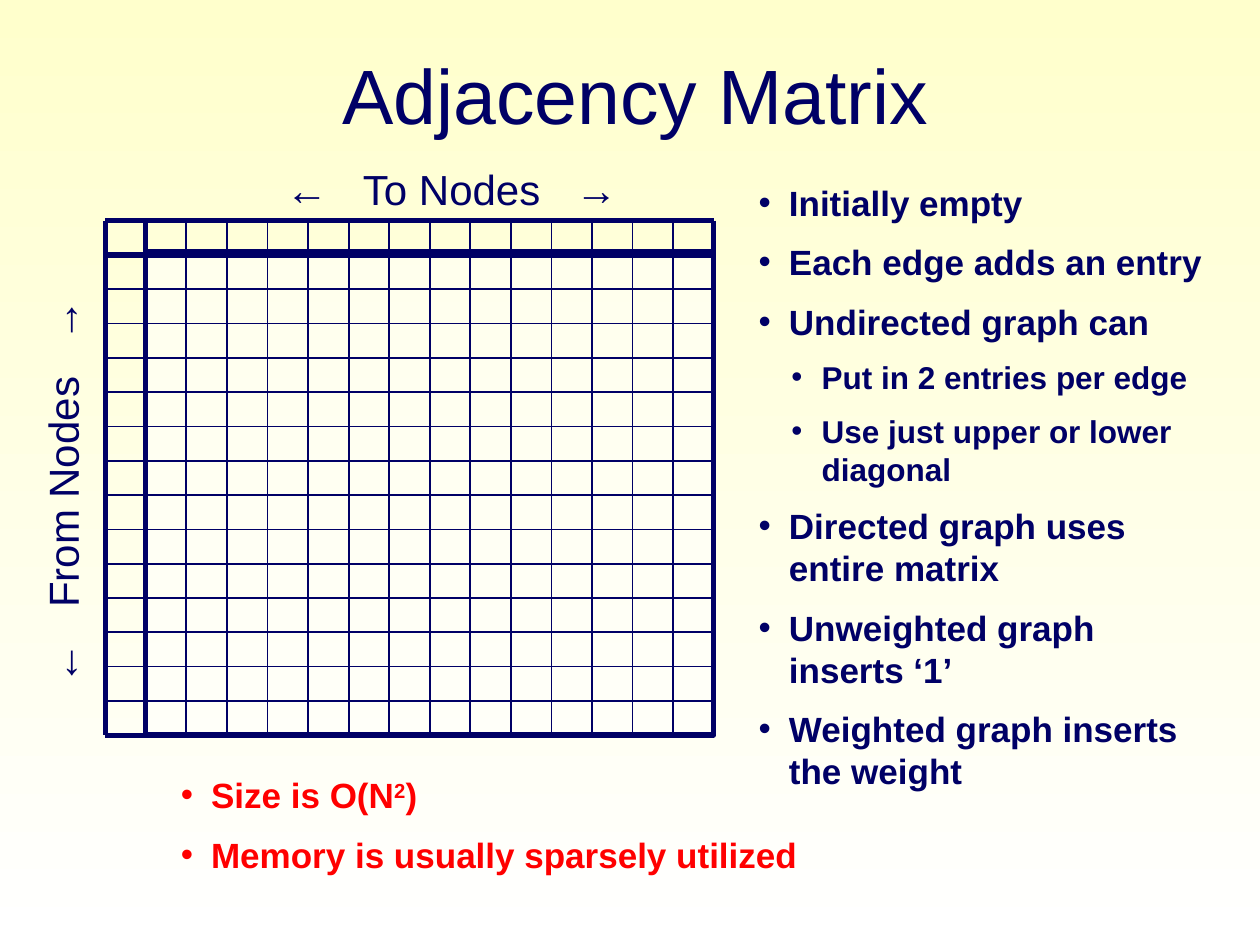
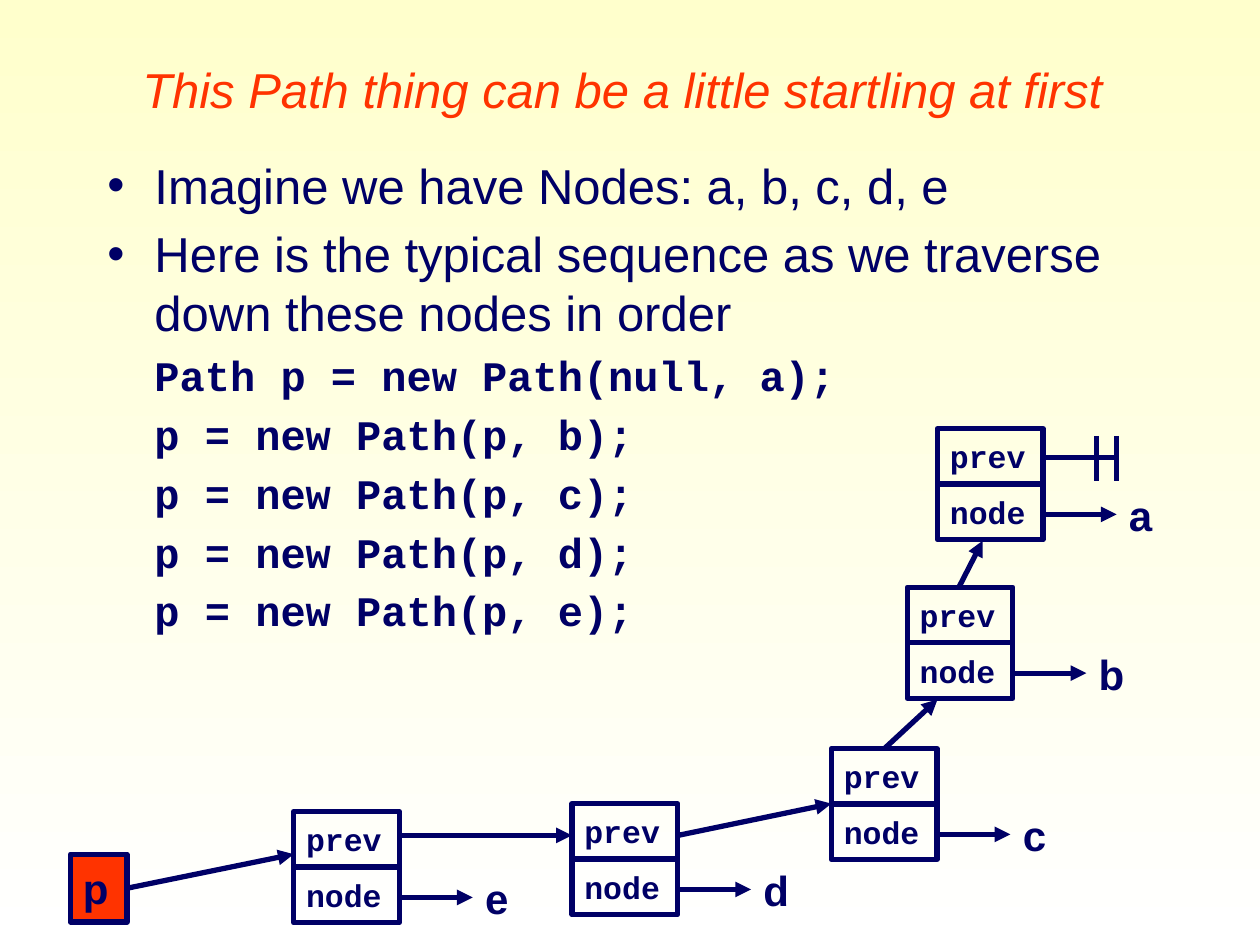
"""Build two slides on adjacency matrices and linked Path objects."""
from dataclasses import dataclass

from lxml import etree
from pptx import Presentation
from pptx import util as u
from pptx.dml import color
from pptx.enum import shapes, text
from pptx.oxml import ns

NAVY, RED, ORANGE = "000066", "FF0000", "FF3300"
CREAM, WHITE = "FFFFCC", "FFFFFF"
SANS, MONO = "Arial", "Courier New"
THIN, THICK = 1, 3
LINE_HEIGHT = 1.2
CELL_WIDTH, CELL_HEIGHT = 2.13, 1.12
POINTER_END, POINTER_DROP = 3.61, 1.73


@dataclass(frozen=True)
class Box:
    left: float
    top: float
    width: float
    height: float

    def lengths(self):
        return [u.Cm(v) for v in (self.left, self.top, self.width, self.height)]


@dataclass(frozen=True)
class Style:
    size: int
    hue: str = NAVY
    face: str = SANS
    bold: bool = False
    italic: bool = False


@dataclass(frozen=True)
class Item:
    wording: str
    style: Style
    bullet: bool = True
    level: int = 0
    raised: str = ""
    ending: str = ""


@dataclass(frozen=True)
class Segment:
    x1: float
    y1: float
    x2: float
    y2: float


@dataclass(frozen=True)
class PathObject:
    node: str
    left: float
    top: float
    prev_link: Segment | None = None


POINT = Style(20, bold=True)
SUBPOINT = Style(18, bold=True)
WARNING = Style(20, RED, bold=True)
PROSE = Style(28)
CODE = Style(24, face=MONO, bold=True)
FIELD = Style(18, face=MONO, bold=True)
NODE = Style(24, bold=True)
AXIS = Style(24)

MATRIX_NOTES = [
    Item("Initially empty", POINT),
    Item("Each edge adds an entry", POINT),
    Item("Undirected graph can", POINT),
    Item("Put in 2 entries per edge", SUBPOINT, level=1),
    Item("Use just upper or lower diagonal", SUBPOINT, level=1),
    Item("Directed graph uses entire matrix", POINT),
    Item("Unweighted graph inserts ‘1’", POINT),
    Item("Weighted graph inserts the weight", POINT),
]
COST_NOTES = [
    Item("Size is O(N", WARNING, raised="2", ending=")"),
    Item("Memory is usually sparsely utilized", WARNING),
]
TRAVERSAL = [
    Item("Imagine we have Nodes: a, b, c, d, e", PROSE),
    Item("Here is the typical sequence as we traverse down these nodes in order", PROSE),
    Item("Path p = new Path(null, a);", CODE, bullet=False),
    *(Item(f"p = new Path(p, {node});", CODE, bullet=False) for node in "bcde"),
]
PATH_CHAIN = [
    PathObject("a", 18.9, 8.64),
    PathObject("b", 18.29, 11.84, Segment(19.33, 11.84, 19.81, 10.9)),
    PathObject("c", 16.76, 15.09, Segment(17.83, 15.09, 18.9, 14.1)),
    PathObject("d", 11.53, 16.2, Segment(13.67, 16.84, 16.76, 16.2)),
    PathObject("e", 5.92, 16.36, Segment(8.05, 16.84, 11.53, 16.84)),
]
NULL_MARK = [
    Segment(21.03, 9.22, 22.5, 9.22),
    *(Segment(x, 8.79, x, 9.7) for x in (22.1, 22.5)),
]


def rgb(code: str) -> color.RGBColor:
    """Turn a hex string into a colour."""
    return color.RGBColor.from_string(code)


def format_run(run, style: Style) -> None:
    """Give one run its font."""
    run.font.size = u.Pt(style.size)
    run.font.name = style.face
    run.font.bold = style.bold
    run.font.italic = style.italic
    run.font.color.rgb = rgb(style.hue)


def place(shape, box: Box) -> None:
    """Move and size a shape."""
    shape.left, shape.top, shape.width, shape.height = box.lengths()


def write(shape, wording: str, style: Style, align=text.PP_ALIGN.LEFT, wrap=False) -> None:
    """Write one line of text, centred vertically."""
    frame = shape.text_frame
    frame.text = wording
    frame.word_wrap = wrap
    frame.auto_size = text.MSO_AUTO_SIZE.NONE
    frame.vertical_anchor = text.MSO_ANCHOR.MIDDLE
    frame.paragraphs[0].alignment = align
    format_run(frame.paragraphs[0].runs[0], style)


def set_title(slide, wording: str, box: Box, style: Style) -> None:
    """Fill the title placeholder."""
    place(slide.shapes.title, box)
    write(slide.shapes.title, wording, style, text.PP_ALIGN.CENTER)


def write_list(body, box: Box, items: list[Item], gap: float, hang: float, anchor) -> None:
    """Fill a body placeholder; gap is a share of the text size."""
    place(body, box)
    frame = body.text_frame
    frame.text = "\n".join(item.wording for item in items)
    frame.word_wrap = True
    frame.auto_size = text.MSO_AUTO_SIZE.NONE
    frame.vertical_anchor = anchor
    for paragraph, item in zip(frame.paragraphs, items):
        paragraph.level = item.level
        paragraph.alignment = text.PP_ALIGN.LEFT
        paragraph.line_spacing = u.Pt(LINE_HEIGHT * item.style.size)
        paragraph.space_before = u.Pt(gap * item.style.size)
        for extra in filter(None, (item.raised, item.ending)):
            paragraph.add_run().text = extra
        for run in paragraph.runs:
            format_run(run, item.style)
        if item.raised:
            paragraph.runs[1].font._element.set("baseline", "30000")
        props = paragraph._p.get_or_add_pPr()
        props.set("marL", str(u.Cm(hang + 0.66 * item.level)))
        props.set("indent", str(-u.Cm(hang) if item.bullet else 0))
        if item.bullet:
            etree.SubElement(props, ns.qn("a:buChar")).set("char", "•")
        else:
            etree.SubElement(props, ns.qn("a:buNone"))


def draw_line(parent, segment: Segment, weight: int = THICK, arrow: bool = False) -> None:
    """Draw a straight line, with an arrowhead at its end if asked."""
    ends = [u.Cm(v) for v in (segment.x1, segment.y1, segment.x2, segment.y2)]
    line = parent.add_connector(shapes.MSO_CONNECTOR.STRAIGHT, *ends)
    line.line.color.rgb = rgb(NAVY)
    line.line.width = u.Pt(weight)
    if arrow:
        etree.SubElement(line.line._get_or_add_ln(), ns.qn("a:tailEnd")).set("type", "triangle")
    etree.SubElement(line._element.spPr, ns.qn("a:effectLst"))


def draw_rect(parent, box: Box, fill: str | None = None, alpha: int = 100):
    """Draw a thickly outlined rectangle."""
    rect = parent.add_shape(shapes.MSO_SHAPE.RECTANGLE, *box.lengths())
    rect.shadow.inherit = False
    if fill:
        rect.fill.solid()
        rect.fill.fore_color.rgb = rgb(fill)
        if alpha < 100:
            tone = rect._element.spPr.find(".//" + ns.qn("a:srgbClr"))
            etree.SubElement(tone, ns.qn("a:alpha")).set("val", str(alpha * 1000))
    else:
        rect.fill.background()
    rect.line.color.rgb = rgb(NAVY)
    rect.line.width = u.Pt(THICK)
    return rect


def draw_matrix(parent, area: Box, count: int) -> None:
    """Draw a square grid whose first row and column are headers."""
    matrix = parent.add_group_shape().shapes
    across, down = area.width / count, area.height / count
    right, bottom = area.left + area.width, area.top + area.height
    draw_rect(matrix, Box(area.left + across, 5.08, area.width - across, bottom - 5.08), WHITE, 50)
    for i in range(count + 1):
        weight = THICK if i in (0, 1, count) else THIN
        x, y = area.left + i * across, area.top + i * down
        draw_line(matrix, Segment(area.left, y, right, y), weight)
        draw_line(matrix, Segment(x, area.top, x, bottom), weight)


def draw_axis(parent, wording: str, box: Box, rotation: int = 0) -> None:
    """Label a matrix axis between two widely set arrows."""
    label = parent.add_textbox(*box.lengths())
    label.rotation = rotation
    write(label, "←", AXIS, text.PP_ALIGN.CENTER, wrap=True)
    label.text_frame.vertical_anchor = text.MSO_ANCHOR.TOP
    paragraph = label.text_frame.paragraphs[0]
    for part in (" ", wording, " ", "→"):
        run = paragraph.add_run()
        run.text = part
        format_run(run, AXIS)
        if part == " ":
            run.font._element.set("spc", "1330")


def draw_path_object(parent, item: PathObject) -> None:
    """Draw a Path object with its fields, node and link."""
    cells = parent.add_group_shape().shapes
    for row, field in enumerate(("prev", "node")):
        top = item.top + row * CELL_HEIGHT
        write(draw_rect(cells, Box(item.left, top, CELL_WIDTH, CELL_HEIGHT)), field, FIELD)
    end, y = item.left + POINTER_END, item.top + POINTER_DROP
    draw_line(parent, Segment(item.left + CELL_WIDTH, y, end, y), arrow=True)
    name = parent.add_textbox(*Box(end, item.top + 1.1, 1, 1.27).lengths())
    write(name, item.node, NODE)
    if item.prev_link:
        draw_line(parent, item.prev_link, arrow=True)


def build_matrix_slide(deck) -> None:
    """Build the adjacency matrix slide."""
    slide = deck.slides.add_slide(deck.slide_layouts[3])
    set_title(slide, "Adjacency Matrix", Box(2.74, 0.84, 20.14, 2.11), Style(44))
    draw_matrix(slide.shapes, Box(2.12, 4.45, 12.27, 10.37), 15)
    draw_axis(slide.shapes, "To Nodes", Box(2.97, 3.18, 12.27, 1.47))
    draw_axis(slide.shapes, "From Nodes", Box(-3.51, 9.19, 9.73, 1.47), 270)
    middle = text.MSO_ANCHOR.MIDDLE
    notes, costs = slide.placeholders[1], slide.placeholders[2]
    write_list(notes, Box(15.04, 3.28, 9.73, 13.06), MATRIX_NOTES, 0.5, 0.61, middle)
    write_list(costs, Box(3.39, 15.44, 14.81, 2.36), COST_NOTES, 0.5, 0.61, middle)


def build_path_slide(deck) -> None:
    """Build the slide that follows a chain of Path objects."""
    slide = deck.slides.add_slide(deck.slide_layouts[1])
    set_title(slide, "This Path thing can be a little startling at first",
              Box(2.59, 1.07, 19.91, 1.45), Style(28, ORANGE, italic=True))
    write_list(slide.placeholders[1], Box(1.91, 3, 21.59, 14.94), TRAVERSAL,
               0.2, 0.95, text.MSO_ANCHOR.TOP)
    for item in PATH_CHAIN:
        draw_path_object(slide.shapes, item)
    null_end = slide.shapes.add_group_shape().shapes
    for segment in NULL_MARK:
        draw_line(null_end, segment)
    write(draw_rect(slide.shapes, Box(1.42, 17.22, 1.14, 1.37), ORANGE), "p", NODE)
    draw_line(slide.shapes, Segment(2.54, 17.91, 5.92, 17.22), arrow=True)


def main() -> None:
    """Build and save the deck."""
    deck = Presentation()
    deck.slide_width, deck.slide_height = u.Cm(25.4), u.Cm(19.05)
    backdrop = deck.slide_master.background.fill
    backdrop.gradient()
    backdrop.gradient_angle = 270
    for stop, tone in zip(backdrop.gradient_stops, (CREAM, WHITE)):
        stop.color.rgb = rgb(tone)
    build_matrix_slide(deck)
    build_path_slide(deck)
    deck.save("out.pptx")


if __name__ == "__main__":
    main()
